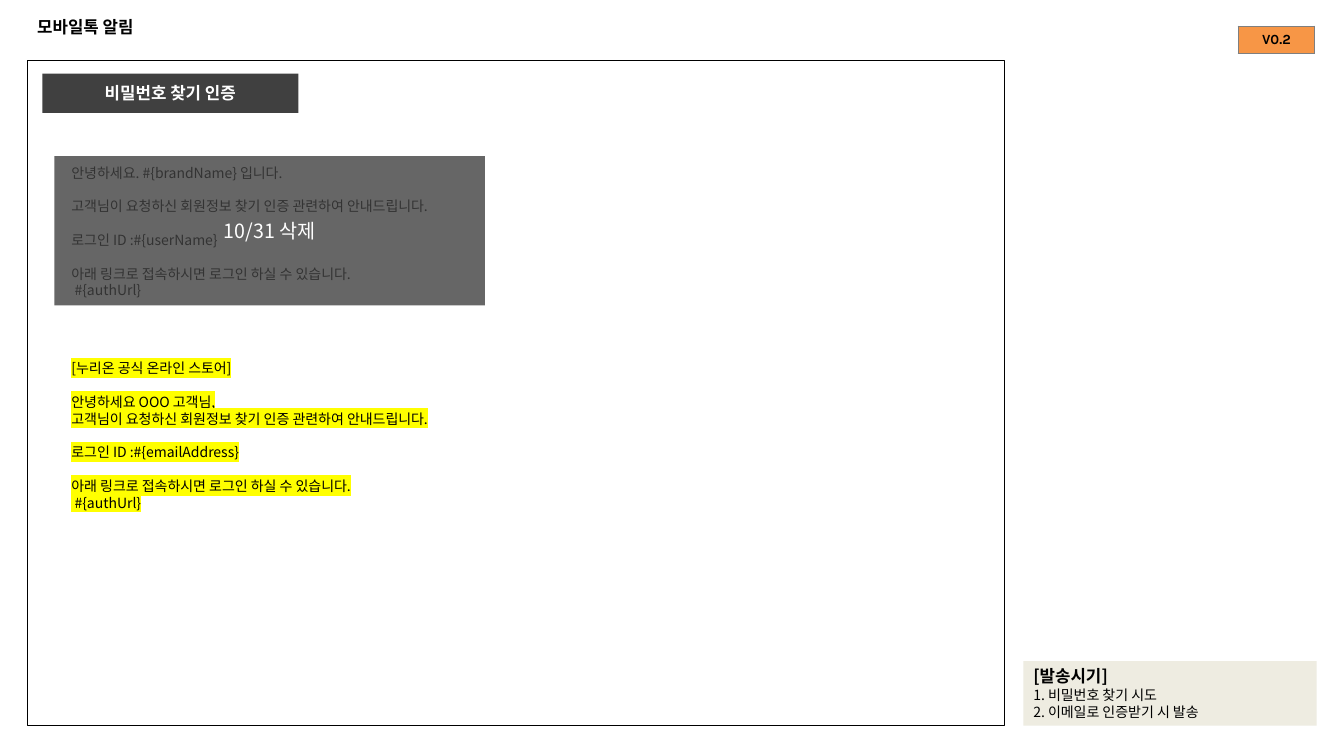
from lxml import etree
from pptx import Presentation, util as u
from pptx.dml.color import RGBColor
from pptx.enum import shapes, text
from pptx.oxml import ns

SANS = "Noto Sans CJK KR"
LINE = 12
REQUEST = "고객님이 요청하신 회원정보 찾기 인증 관련하여 안내드립니다."
LINK_LINES = [("아래 링크로 접속하시면 로그인 하실 수 있습니다.", True), (" #{authUrl}", False)]
OLD_MESSAGE = [
    ("안녕하세요. #{brandName} 입니다.", False),
    (REQUEST, True),
    ("로그인 ID :#{userName}", True),
    *LINK_LINES,
]
NEW_MESSAGE = [
    ("[누리온 공식 온라인 스토어]", False),
    ("안녕하세요\u00a0OOO 고객님,", True),
    (REQUEST, False),
    ("로그인 ID :#{emailAddress}", True),
    *LINK_LINES,
]


def color(value):
    return RGBColor.from_string(value)


def add_child(parent, tag, **attributes):
    return etree.SubElement(parent, ns.qn(tag), **attributes)


def style(para, size, ink="000000", bold=False, face=SANS):
    font = para.font
    font.size, font.bold, font.name = u.Pt(size), bold, face
    font.color.rgb = color(ink)
    east_asian = face if face == SANS else "Noto Sans CJK KR"
    add_child(para._p.pPr.find(ns.qn("a:defRPr")), "a:ea", typeface=east_asian)


def add_box(page, box, fill=None, line=None):
    shape = page.shapes.add_shape(shapes.MSO_SHAPE.RECTANGLE, *map(u.Inches, box))
    shape.shadow.inherit = False
    if fill:
        shape.fill.solid()
        shape.fill.fore_color.rgb = color(fill)
    else:
        shape.fill.background()
    if line:
        shape.line.color.rgb = color(line)
        shape.line.width = u.Pt(0.75)
    else:
        shape.line.fill.background()
    return shape


def add_label(shape, words, size, ink, bold=False, face=SANS):
    frame = shape.text_frame
    frame.word_wrap = True
    frame.vertical_anchor = text.MSO_ANCHOR.MIDDLE
    para = frame.paragraphs[0]
    para.text = words
    para.alignment = text.PP_ALIGN.CENTER
    style(para, size, ink, bold, face)


def add_title(page, box):
    frame = page.shapes.add_textbox(*map(u.Inches, box)).text_frame
    frame.word_wrap = True
    frame.vertical_anchor = text.MSO_ANCHOR.MIDDLE
    frame.text = "모바일톡 알림"
    style(frame.paragraphs[0], 12, bold=True, face="Arial")


def add_message(page, box, lines, highlight=None):
    frame = page.shapes.add_textbox(*map(u.Inches, box)).text_frame
    frame.word_wrap = True
    for index, (words, gap) in enumerate(lines):
        para = frame.add_paragraph() if index else frame.paragraphs[0]
        span = para.add_run()
        span.text = words
        if gap:
            para.space_before = u.Pt(LINE)
        style(para, 10)
        if highlight:
            mark = add_child(span._r.get_or_add_rPr(), "a:highlight")
            add_child(mark, "a:srgbClr", val=highlight)


def add_screen(page, box):
    left, top, width, height = box
    add_box(page, box, line="000000")
    heading = add_box(page, (left + 0.15, top + 0.13, 2.54, 0.39), "404040")
    add_label(heading, "비밀번호 찾기 인증", 12, "FFFFFF", True, "Arial")
    add_message(page, (left + 0.34, top + 0.98, 4.12, 1.45), OLD_MESSAGE)
    add_message(page, (left + 0.34, top + 2.92, 4.12, 1.62), NEW_MESSAGE, "FFFF00")
    cover = add_box(page, (left + 0.27, top + 0.95, 4.27, 1.48), "404040")
    tint = cover._element.spPr.find(ns.qn("a:solidFill"))[0]
    add_child(tint, "a:alpha", val="80000")
    add_label(cover, "10/31 삭제", 14, "FFFFFF")


def add_version(page, box):
    table = page.shapes.add_table(1, 1, *map(u.Inches, box)).table
    cell = table.cell(0, 0)
    cell.margin_left = cell.margin_right = cell.margin_top = cell.margin_bottom = 0
    cell.vertical_anchor = text.MSO_ANCHOR.MIDDLE
    para = cell.text_frame.paragraphs[0]
    para.text = "V0.2"
    para.alignment = text.PP_ALIGN.CENTER
    style(para, 10, bold=True, face="Karla")
    properties = cell._tc.get_or_add_tcPr()
    for side in "LRTB":
        border = add_child(properties, f"a:ln{side}", w=str(u.Pt(1)))
        add_child(add_child(border, "a:solidFill"), "a:srgbClr", val="7F7F7F")
    cell.fill.solid()
    cell.fill.fore_color.rgb = color("F79646")


def add_timing(page, box):
    frame = add_box(page, box, "EEECE1").text_frame
    frame.word_wrap = True
    frame.vertical_anchor = text.MSO_ANCHOR.TOP
    frame.text = "[발송시기]\n1. 비밀번호 찾기 시도\n2. 이메일로 인증받기 시 발송"
    for index, para in enumerate(frame.paragraphs):
        para.alignment = text.PP_ALIGN.LEFT
        style(para, 10 if index else 12, bold=index == 0)


def main():
    deck = Presentation()
    deck.slide_width, deck.slide_height = u.Inches(13.33), u.Inches(7.5)
    page = deck.slides.add_slide(deck.slide_layouts[6])
    add_title(page, (0.27, 0.07, 12.79, 0.39))
    add_screen(page, (0.27, 0.6, 9.69, 6.6))
    add_version(page, (12.28, 0.26, 0.76, 0.27))
    add_timing(page, (10.15, 6.56, 2.91, 0.64))
    deck.save("out.pptx")


if __name__ == "__main__":
    main()
